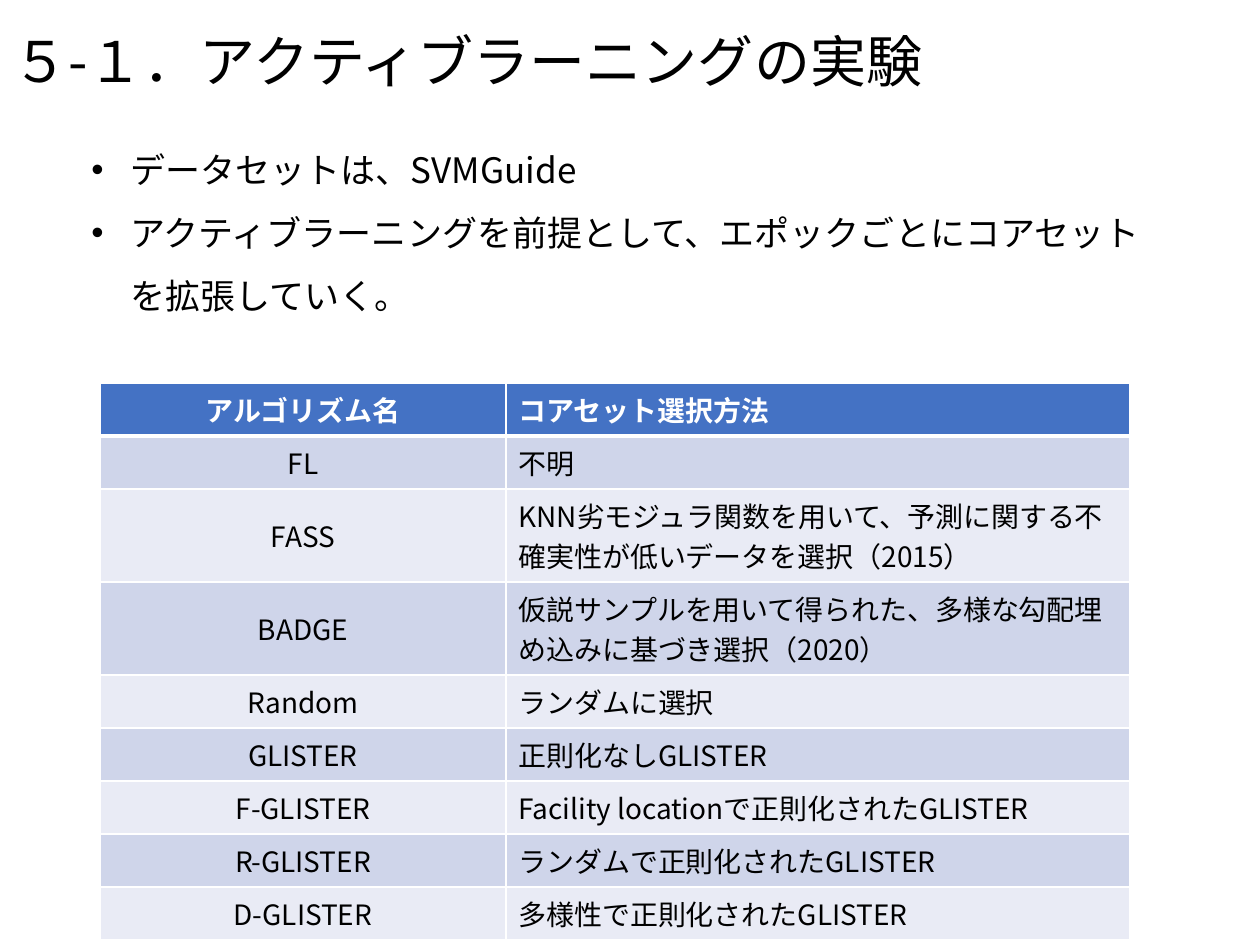
from dataclasses import dataclass

from lxml import etree
from pptx import Presentation
from pptx.dml.color import RGBColor
from pptx.enum.text import MSO_ANCHOR, PP_ALIGN
from pptx.oxml.ns import qn
from pptx.util import Emu, Pt

PX = 914400 // 126
MID, LOW, TOP = MSO_ANCHOR.MIDDLE, MSO_ANCHOR.BOTTOM, MSO_ANCHOR.TOP
LEFT, MIDST = PP_ALIGN.LEFT, PP_ALIGN.CENTER


@dataclass(frozen=True)
class Theme:
    font: str = "Noto Sans CJK JP"
    ink: str = "000000"
    white: str = "FFFFFF"
    head: str = "4472C4"
    bands: tuple = ("CFD5EA", "E9EBF5")
    title: int = 32
    body: int = 20
    cell: int = 16


THEME = Theme()
TITLE = "５-１．アクティブラーニングの実験"
POINTS = [
    "データセットは、SVMGuide",
    "アクティブラーニングを前提として、エポックごとにコアセットを拡張していく。",
]
# Lines of text in the row, algorithm, selection method
ROWS = [
    (1, "アルゴリズム名", "コアセット選択方法"),
    (1, "FL", "不明"),
    (2, "FASS", "KNN劣モジュラ関数を用いて、予測に関する不確実性が低いデータを選択（2015）"),
    (2, "BADGE", "仮説サンプルを用いて得られた、多様な勾配埋め込みに基づき選択（2020）"),
    (1, "Random", "ランダムに選択"),
    (1, "GLISTER", "正則化なしGLISTER"),
    (1, "F-GLISTER", "Facility locationで正則化されたGLISTER"),
    (1, "R-GLISTER", "ランダムで正則化されたGLISTER"),
    (1, "D-GLISTER", "多様性で正則化されたGLISTER"),
]


def px(*vals):
    return [Emu(v * PX) for v in vals]


def add_run(para, text, size, color, bold=False):
    run = para.add_run()
    run.text = text
    font = run.font
    font.name, font.size, font.bold = THEME.font, Pt(size), bold
    font.color.rgb = RGBColor.from_string(color)
    # East Asian typeface follows the Latin one
    east = etree.SubElement(font._element, qn("a:ea"))
    east.set("typeface", THEME.font)


def add_box(slide, box, anchor):
    frame = slide.shapes.add_textbox(*px(*box)).text_frame
    frame.word_wrap = True
    frame.vertical_anchor = anchor
    return frame


def add_title(slide, box):
    para = add_box(slide, box, LOW).paragraphs[0]
    para.line_spacing = 0.9
    add_run(para, TITLE, THEME.title, THEME.ink)


def add_points(slide, box):
    frame = add_box(slide, box, TOP)
    dent = 39 * PX
    for i, text in enumerate(POINTS):
        para = frame.add_paragraph() if i else frame.paragraphs[0]
        para.line_spacing = 1.5
        add_run(para, text, THEME.body, THEME.ink)
        # Hanging bullet
        props = para._p.get_or_add_pPr()
        props.set("marL", str(dent))
        props.set("indent", str(-dent))
        etree.SubElement(props, qn("a:buFont")).set("typeface", "Arial")
        etree.SubElement(props, qn("a:buChar")).set("char", "•")


def add_edges(cell, widths):
    # Borders come before the fill in the cell properties
    props = cell._tc.get_or_add_tcPr()
    for i, (side, width) in enumerate(zip("LRTB", widths)):
        line = etree.Element(qn(f"a:ln{side}"), w=str(Pt(width)))
        fill = etree.SubElement(line, qn("a:solidFill"))
        etree.SubElement(fill, qn("a:srgbClr")).set("val", THEME.white)
        props.insert(i, line)


def add_grid(slide, box, split):
    left, top, width, row_h, line_h = box
    highs = [row_h + line_h * (row[0] - 1) for row in ROWS]
    size = px(left, top, width, sum(highs))
    table = slide.shapes.add_table(len(ROWS), 2, *size).table
    for col, wide in zip(table.columns, px(split, width - split)):
        col.width = wide
    for r, (high, row) in enumerate(zip(px(*highs), ROWS)):
        table.rows[r].height = high
        fill = THEME.bands[(r - 1) % 2] if r else THEME.head
        color = THEME.ink if r else THEME.white
        # Thick rule between the header and the first row
        edges = (1, 1, 3 if r == 1 else 1, 3 if r == 0 else 1)
        for c, text in enumerate(row[1:]):
            cell = table.cell(r, c)
            cell.fill.solid()
            cell.fill.fore_color.rgb = RGBColor.from_string(fill)
            cell.vertical_anchor = MID
            add_edges(cell, edges)
            para = cell.text_frame.paragraphs[0]
            para.alignment = LEFT if c else MIDST
            add_run(para, text, THEME.cell, color, bold=r == 0)


def main():
    deck = Presentation()
    deck.slide_width, deck.slide_height = px(1260, 945)
    slide = deck.slides.add_slide(deck.slide_layouts[6])
    add_title(slide, (0, 0, 1260, 101))
    add_grid(slide, (100, 383, 1030, 53, 40), 406)
    add_points(slide, (79, 121, 1102, 273))
    deck.save("out.pptx")


if __name__ == "__main__":
    main()
